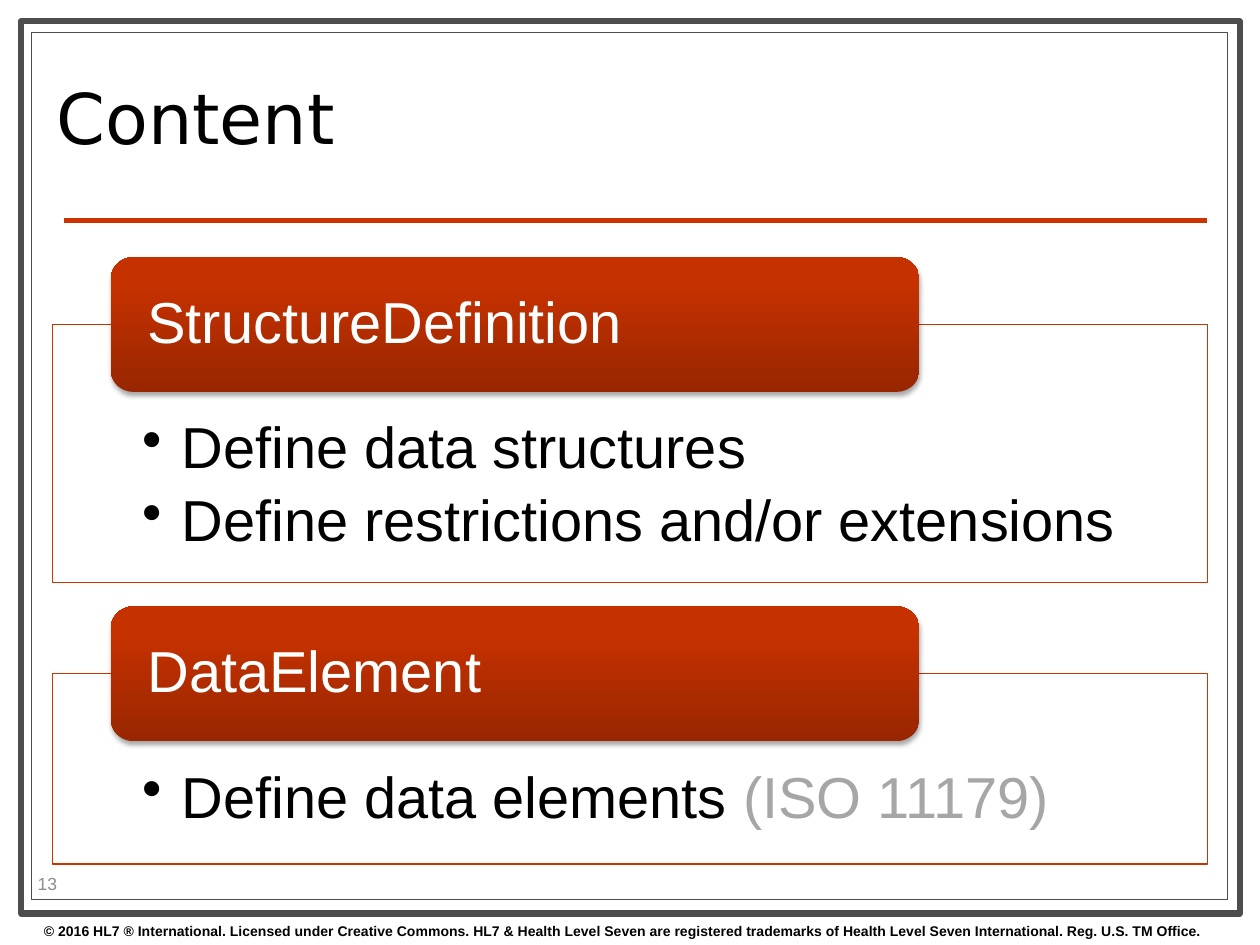
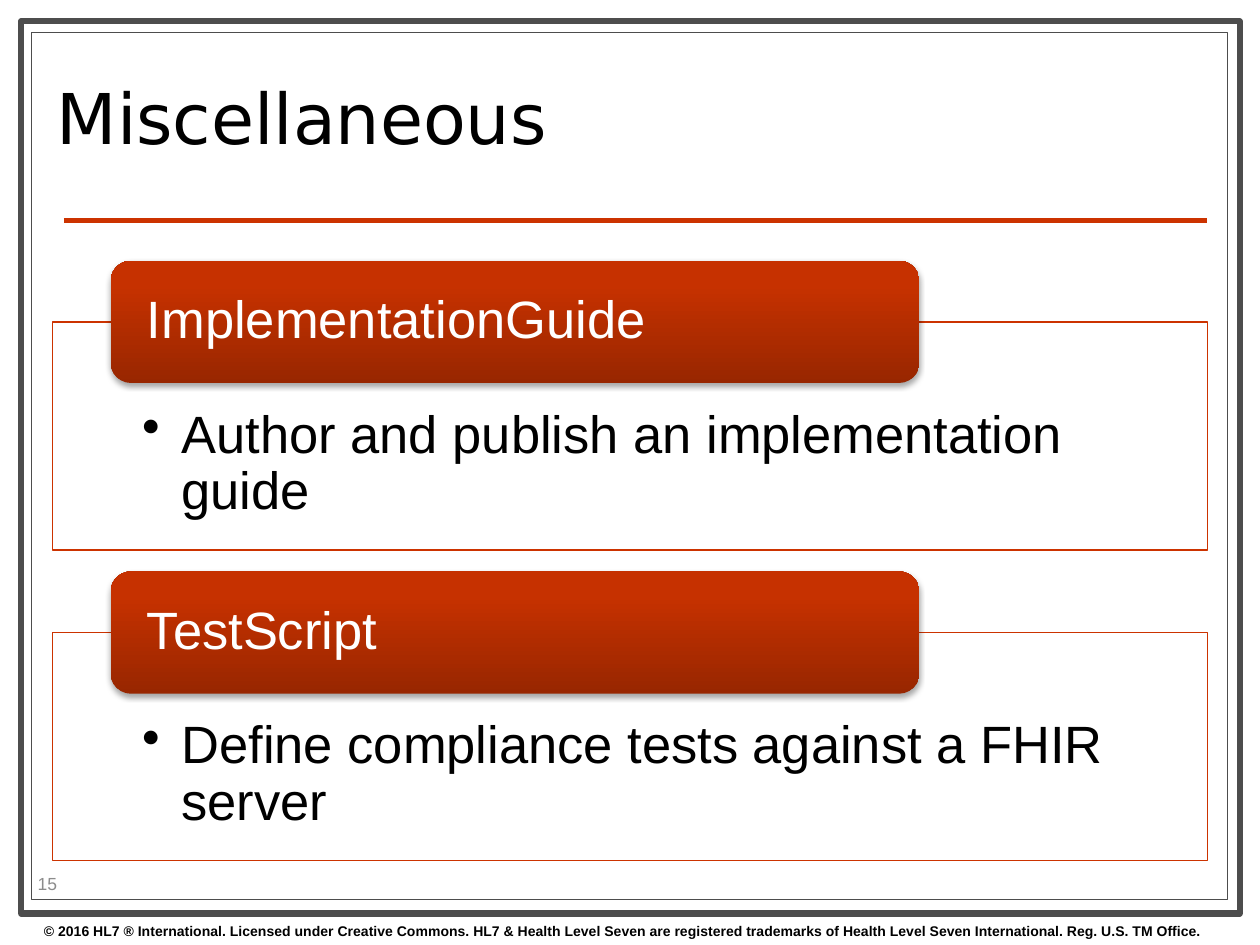
from dataclasses import dataclass

from lxml.etree import SubElement
from pptx import Presentation
from pptx.dml.color import RGBColor
from pptx.enum.shapes import MSO_CONNECTOR as CONN, MSO_SHAPE as SHAPE
from pptx.enum.text import MSO_ANCHOR as ANCHOR, MSO_AUTO_SIZE as FIT, PP_ALIGN as ALIGN
from pptx.oxml.ns import qn
from pptx.util import Pt


@dataclass(frozen=True)
class Theme:
    ink: str = "000000"
    paper: str = "FFFFFF"
    frame: str = "4D4D4D"
    accent: str = "CC3300"
    muted: str = "A6A6A6"
    number: str = "8C8C8C"
    header_stops: tuple = ((0, "982600"), (80, "C63100"), (100, "C73200"))
    title_font: str = "DejaVu Sans"
    body_font: str = "Arial"
    title_size: int = 40
    number_size: int = 10
    footer_size: int = 8


T = Theme()
FOOTER = (
    "© 2016 HL7 ® International. Licensed under Creative Commons. "
    "HL7 & Health Level Seven are registered trademarks of "
    "Health Level Seven International. Reg. U.S. TM Office."
)

# Each bullet is a list of (text, colour) runs; None keeps the paragraph colour
SLIDES = [
    dict(title="Content", number="13", size=33, top=147, sections=[
        ("StructureDefinition", 147.6,
         [[("Define data structures", None)],
          [("Define restrictions and/or extensions", None)]]),
        ("DataElement", 108.7,
         [[("Define data elements ", None), ("(ISO 11179)", T.muted)]]),
    ]),
    dict(title="Miscellaneous", number="15", size=30, top=149, sections=[
        ("ImplementationGuide", 130.3,
         [[("Author and publish an implementation guide", None)]]),
        ("TestScript", 130.3,
         [[("Define compliance tests against a FHIR server", None)]]),
    ]),
]


def rgb(value):
    return RGBColor.from_string(value)


def add_xml(parent, tag, **attrs):
    return SubElement(parent, qn(tag), {k: str(v) for k, v in attrs.items()})


def set_font(p, size, color, name=T.body_font, bold=False):
    f = p.font
    f.size, f.name, f.bold = Pt(size), name, bold
    f.color.rgb = rgb(color)


def set_margins(tf, left, top, right, bottom):
    tf.margin_left, tf.margin_top = Pt(left), Pt(top)
    tf.margin_right, tf.margin_bottom = Pt(right), Pt(bottom)


def add_box(slide, box, line, width, kind=SHAPE.RECTANGLE):
    sp = slide.shapes.add_shape(kind, *map(Pt, box))
    sp.shadow.inherit = False
    sp.fill.solid()
    sp.fill.fore_color.rgb = rgb(T.paper)
    sp.line.color.rgb = rgb(line)
    sp.line.width = Pt(width)
    return sp


def add_label(slide, box, text, size, color, bold=False):
    tf = slide.shapes.add_textbox(*map(Pt, box)).text_frame
    tf.word_wrap = True
    tf.text = text
    set_font(tf.paragraphs[0], size, color, bold=bold)
    return tf


# Double frame, rule and copyright line
def add_frame(slide):
    add_box(slide, (12.2, 12.2, 696.2, 509.8), T.frame, 3.5)
    add_box(slide, (18.2, 18.7, 683.3, 495.4), T.frame, 0.75)
    rule = slide.shapes.add_connector(CONN.STRAIGHT, Pt(36.5), Pt(126), Pt(689.8), Pt(126))
    rule.line.color.rgb = rgb(T.accent)
    rule.line.width = Pt(3)
    add_xml(rule.element.spPr, "a:effectLst")
    add_label(slide, (18, 523.4, 700, 16.6), FOOTER, T.footer_size, T.ink, bold=True)


def set_title(slide, text):
    title = slide.shapes.title
    slide.shapes.element.append(title.element)  # bring in front of the frame
    title.left, title.top, title.width, title.height = map(Pt, (25.2, 25.9, 516.2, 90.7))
    tf = title.text_frame
    tf.text = text
    tf.auto_size = FIT.NONE
    tf.vertical_anchor = ANCHOR.MIDDLE
    p = tf.paragraphs[0]
    p.alignment = ALIGN.LEFT
    p.line_spacing = 0.8
    set_font(p, T.title_size, T.ink, T.title_font)


# Outlined panel with bullets; insets follow the type size
def add_panel(slide, top, height, bullets, size):
    sp = add_box(slide, (30, top, 660, height), T.accent, 0.75)
    color = sp.fill._xPr.find(qn("a:solidFill"))[0]
    add_xml(color, "a:alpha", val=90000)
    tf = sp.text_frame
    tf.word_wrap = True
    tf.vertical_anchor = ANCHOR.TOP
    set_margins(tf, 51.2, 1.635 * size, 51.2, 0.56 * size)
    for i, runs in enumerate(bullets):
        p = tf.add_paragraph() if i else tf.paragraphs[0]
        pPr = p._p.get_or_add_pPr()
        pPr.set("marL", str(Pt(22.5)))
        pPr.set("indent", str(-Pt(22.5)))
        add_xml(pPr, "a:buChar", char="•")
        p.alignment = ALIGN.LEFT
        p.line_spacing = 0.9
        p.space_after = Pt(6)
        set_font(p, size, T.ink)
        for text, run_color in runs:
            r = p.add_run()
            r.text = text
            if run_color:
                r.font.color.rgb = rgb(run_color)


# Rounded heading with a vertical gradient and a soft shadow
def add_header(slide, top, height, text, size):
    sp = add_box(slide, (63.2, top, 462.2, height), T.accent, 0, SHAPE.ROUNDED_RECTANGLE)
    sp.line.fill.background()
    spPr = sp.element.spPr
    solid = spPr.find(qn("a:solidFill"))
    grad = add_xml(spPr, "a:gradFill", rotWithShape=1)
    stops = add_xml(grad, "a:gsLst")
    for pos, color in T.header_stops:
        add_xml(add_xml(stops, "a:gs", pos=pos * 1000), "a:srgbClr", val=color)
    add_xml(grad, "a:lin", ang=270 * 60000, scaled=0)
    spPr.replace(solid, grad)
    shadow = add_xml(spPr.find(qn("a:effectLst")), "a:outerShdw", blurRad=Pt(3.1),
                     dist=Pt(1.8), dir=90 * 60000, rotWithShape=0)
    add_xml(add_xml(shadow, "a:srgbClr", val=T.ink), "a:alpha", val=35000)
    tf = sp.text_frame
    tf.word_wrap = True
    tf.vertical_anchor = ANCHOR.MIDDLE
    set_margins(tf, 17.3, 0, 17.3, 0)
    tf.text = text
    p = tf.paragraphs[0]
    p.alignment = ALIGN.LEFT
    p.line_spacing = 0.9
    set_font(p, size, T.paper)


# Headings straddle the top edge of their panels
def add_sections(slide, sections, top, size):
    header_h = 2.33 * size
    gap = 0.41 * size
    for heading, panel_h, bullets in sections:
        panel_top = top + header_h / 2
        add_panel(slide, panel_top, panel_h, bullets, size)
        add_header(slide, top, header_h, heading, size)
        top = panel_top + panel_h + gap


def main():
    prs = Presentation()
    prs.slide_width, prs.slide_height = Pt(720), Pt(540)
    for page in SLIDES:
        slide = prs.slides.add_slide(prs.slide_layouts[5])
        add_frame(slide)
        set_title(slide, page["title"])
        add_sections(slide, page["sections"], page["top"], page["size"])
        tf = add_label(slide, (14.4, 496.1, 56.9, 17.3), page["number"],
                       T.number_size, T.number)
        tf.vertical_anchor = ANCHOR.MIDDLE
    prs.save("out.pptx")


if __name__ == "__main__":
    main()
